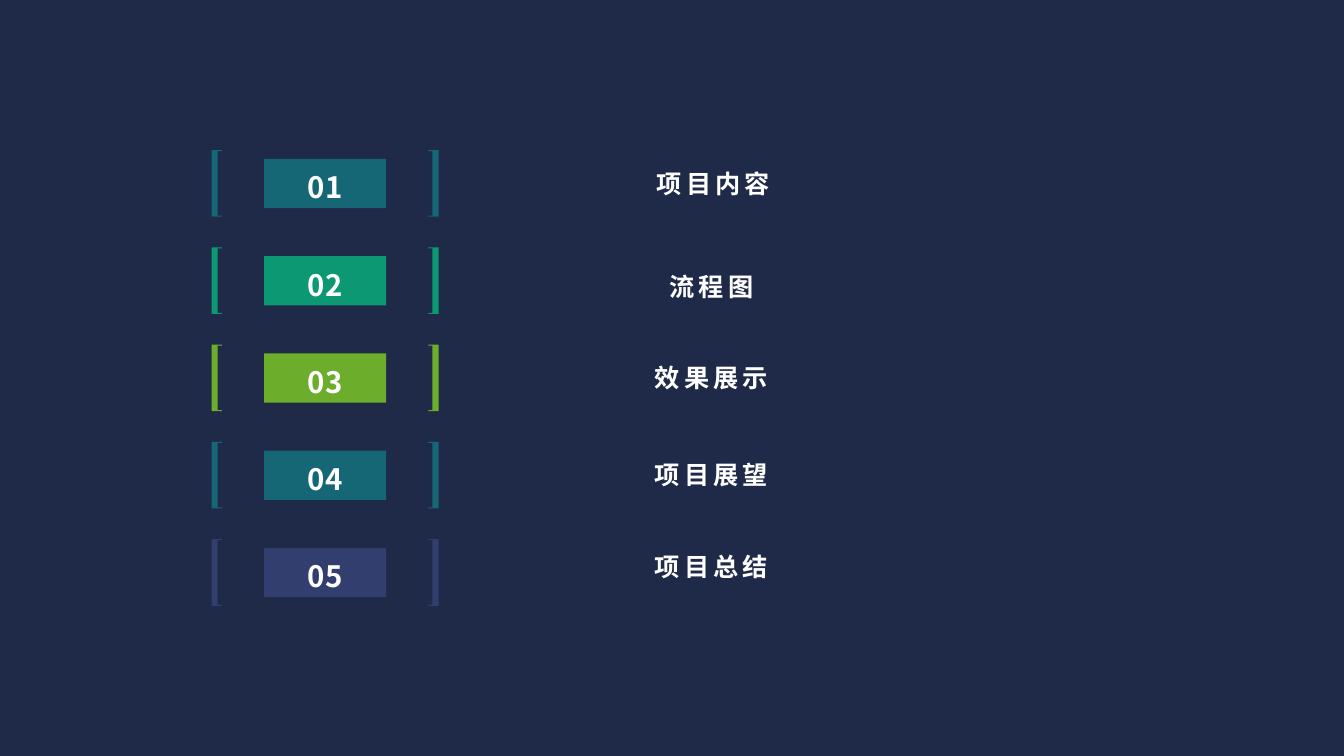
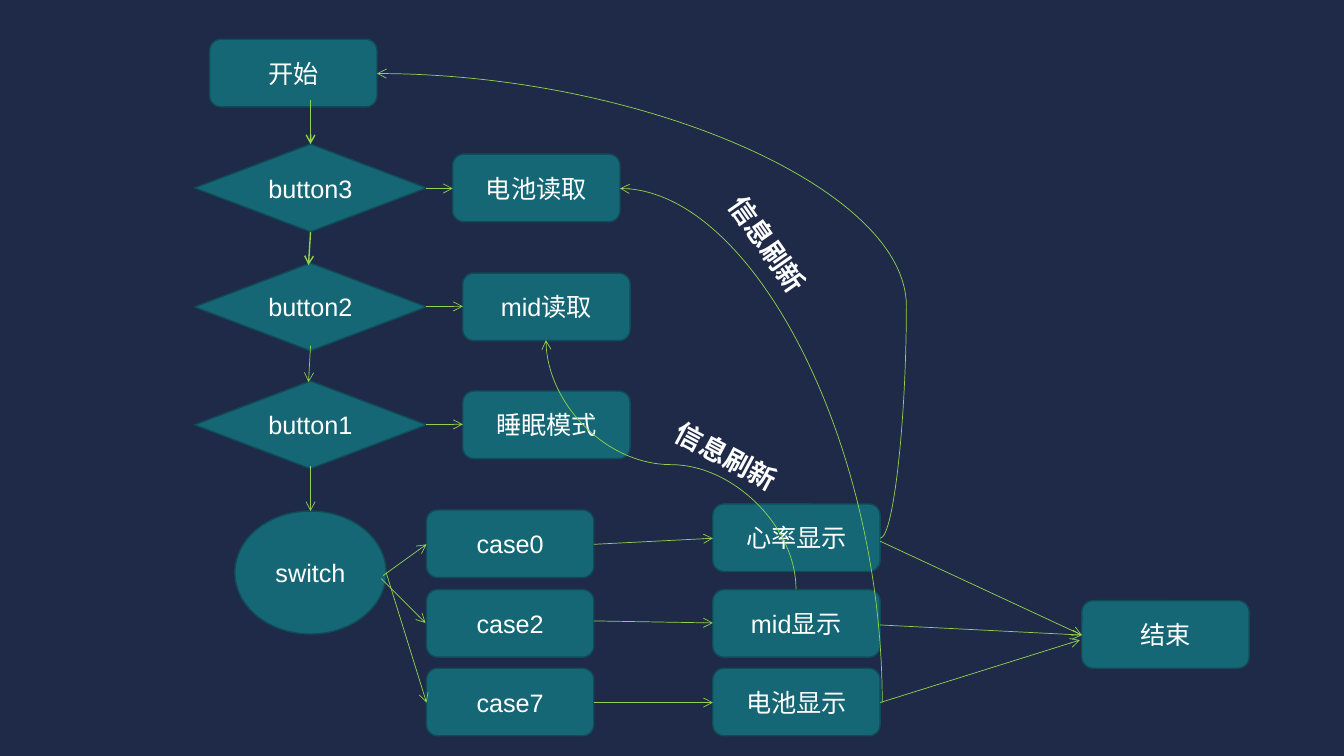
from lxml.etree import SubElement
from pptx import Presentation
from pptx.dml.color import RGBColor
from pptx.enum.shapes import MSO_CONNECTOR, MSO_SHAPE
from pptx.enum.text import MSO_ANCHOR, PP_ALIGN
from pptx.oxml.ns import qn
from pptx.util import Inches, Pt

NAVY = RGBColor(0x1E, 0x2A, 0x47)
TEAL = RGBColor(0x16, 0x67, 0x75)
DARK_TEAL = RGBColor(0x10, 0x4C, 0x57)
GREEN = RGBColor(0x0B, 0x98, 0x72)
LIME = RGBColor(0x6D, 0xAD, 0x2C)
INDIGO = RGBColor(0x32, 0x3E, 0x6E)
ARROW_GREEN = RGBColor(0x91, 0xD2, 0x50)
WHITE = RGBColor(0xFF, 0xFF, 0xFF)
CJK_FONT = "Noto Sans CJK SC"


def write_text(shape, text, size, latin=CJK_FONT, align=PP_ALIGN.CENTER, tracking=0):
    """Put one white paragraph in a shape; text in the CJK font is bold and widely leaded."""
    frame = shape.text_frame
    frame.word_wrap = True
    para = frame.paragraphs[0]
    para.text = text
    para.alignment = align
    font = para.font
    font.size, font.name, font.color.rgb = Pt(size), latin, WHITE
    if latin == CJK_FONT:
        font.bold = True
        para.line_spacing = 1.2
    properties = para._p.pPr.find(qn("a:defRPr"))
    SubElement(properties, qn("a:ea")).set("typeface", CJK_FONT)
    if tracking:
        properties.set("spc", str(tracking * 100))


def add_arrow(page, start, end, width=0.5, kind=MSO_CONNECTOR.STRAIGHT):
    arrow = page.shapes.add_connector(kind, *map(Inches, start + end))
    arrow.line.color.rgb = ARROW_GREEN
    arrow.line.width = Pt(width)
    SubElement(arrow.line._get_or_add_ln(), qn("a:tailEnd")).set("type", "arrow")
    SubElement(arrow._element.spPr, qn("a:effectLst"))
    return arrow


deck = Presentation()
deck.slide_width, deck.slide_height = Inches(13.33), Inches(7.5)
background = deck.slide_master.background.fill
background.solid()
background.fore_color.rgb = NAVY
blank = deck.slide_layouts[6]

# Contents
contents = deck.slides.add_slide(blank)
FIRST_TOP, LAST_TOP = 1.49, 5.35
BRACKET_HEIGHT, BOX_HEIGHT = 0.66, 0.49
entries = [
    ("项目内容", TEAL, 6.27, 1.48),
    ("流程图", GREEN, 6.25, 2.5),
    ("效果展示", LIME, 6.25, 3.4),
    ("项目展望", TEAL, 6.25, 4.37),
    ("项目总结", INDIGO, 6.25, 5.28),
]
row_pitch = (LAST_TOP - FIRST_TOP) / (len(entries) - 1)
for index, (label, color, label_left, label_top) in enumerate(entries):
    top = FIRST_TOP + index * row_pitch
    bottom = top + BRACKET_HEIGHT
    parts = []
    for outer, inward in ((2.1, 1), (4.35, -1)):
        bar, tip = outer + inward * 0.06, outer + inward * 0.1
        corners = [
            (outer, top), (tip, top), (tip, top + 0.01), (bar, top + 0.01),
            (bar, bottom - 0.01), (tip, bottom - 0.01), (tip, bottom), (outer, bottom),
        ]
        points = [(Inches(x), Inches(y)) for x, y in corners]
        outline = contents.shapes.build_freeform(*points[0])
        outline.add_line_segments(points[1:])
        parts.append(outline.convert_to_shape())
    box_top = top + (BRACKET_HEIGHT - BOX_HEIGHT) / 2
    number_box = contents.shapes.add_shape(
        MSO_SHAPE.RECTANGLE, *map(Inches, (2.62, box_top, 1.21, BOX_HEIGHT)))
    write_text(number_box, f"{index + 1:02d}", 21)
    for part in parts + [number_box]:
        part.shadow.inherit = False
        part.fill.solid()
        part.fill.fore_color.rgb = color
        part.line.fill.background()
    label_box = contents.shapes.add_textbox(
        *map(Inches, (label_left, label_top, 1.61, 0.62)))
    write_text(label_box, label, 18, tracking=3)
    label_box.text_frame.vertical_anchor = MSO_ANCHOR.MIDDLE

# Flowchart
flowchart = deck.slides.add_slide(blank)
STEP = (MSO_SHAPE.FLOWCHART_ALTERNATE_PROCESS, 1.66, 0.67)
DECISION = (MSO_SHAPE.FLOWCHART_DECISION, 2.3, 0.87)
SWITCH = (MSO_SHAPE.FLOWCHART_CONNECTOR, 1.5, 1.22)
nodes = [
    ("开始", STEP, 2.08, 0.39),
    ("button3", DECISION, 1.93, 1.43),
    ("button2", DECISION, 1.93, 2.61),
    ("button1", DECISION, 1.93, 3.78),
    ("电池读取", STEP, 4.49, 1.53),
    ("mid读取", STEP, 4.59, 2.71),
    ("睡眠模式", STEP, 4.59, 3.88),
    ("switch", SWITCH, 2.33, 5.07),
    ("case0", STEP, 4.23, 5.06),
    ("case2", STEP, 4.23, 5.85),
    ("case7", STEP, 4.23, 6.63),
    ("心率显示", STEP, 7.07, 5),
    ("mid显示", STEP, 7.07, 5.85),
    ("电池显示", STEP, 7.07, 6.63),
    ("结束", STEP, 10.73, 5.96),
]
for label, (preset, width, height), left, top in nodes:
    node = flowchart.shapes.add_shape(preset, *map(Inches, (left, top, width, height)))
    node.shadow.inherit = False
    node.fill.solid()
    node.fill.fore_color.rgb = TEAL
    node.line.color.rgb = DARK_TEAL
    node.line.width = Pt(1)
    write_text(node, label, 18, latin="Arial")

straight_arrows = [
    ((3.08, 0.99), (3.08, 1.43), 1),
    ((3.08, 2.3), (3.06, 2.63), 1),
    ((3.08, 3.43), (3.06, 3.79), 0.5),
    ((3.08, 4.62), (3.08, 5.07), 0.5),
    ((4.23, 1.87), (4.49, 1.87), 0.5),
    ((4.23, 3.04), (4.59, 3.04), 0.5),
    ((4.23, 4.21), (4.59, 4.21), 0.5),
    ((3.8, 5.71), (4.23, 5.4), 0.5),
    ((3.78, 5.74), (4.22, 6.18), 0.5),
    ((3.83, 5.68), (4.23, 6.97), 0.5),
    ((5.89, 5.4), (7.07, 5.34), 0.5),
    ((5.89, 6.16), (7.07, 6.18), 0.5),
    ((5.89, 6.97), (7.07, 6.97), 0.5),
    ((8.73, 5.37), (10.73, 6.3), 0.5),
    ((8.73, 6.2), (10.73, 6.3), 0.5),
    ((8.73, 6.97), (10.71, 6.35), 0.5),
]
for start, end, width in straight_arrows:
    add_arrow(flowchart, start, end, width)

# Ends are given before the turn; the bend is in 1/100000 of the width
curved_arrows = [
    ((8.73, 5.34), (3.74, 0.73), 0, "curvedConnector3", -5200),
    ((4.9, 5.72), (10, 3.12), 270, "curvedConnector2", None),
    ((5.42, 5.85), (7.89, 3.37), 270, "curvedConnector3", 50000),
]
for start, end, turn, preset, bend in curved_arrows:
    curve = add_arrow(flowchart, start, end, kind=MSO_CONNECTOR.CURVE)
    properties = curve._element.spPr
    properties.find(qn("a:xfrm")).set("rot", str(turn * 60000))
    geometry = properties.find(qn("a:prstGeom"))
    geometry.set("prst", preset)
    if bend is not None:
        guide = SubElement(geometry.find(qn("a:avLst")), qn("a:gd"))
        guide.set("name", "adj1")
        guide.set("fmla", f"val {bend}")

for left, top, turn in ((6.8, 2.54, 55), (6.52, 4.47, 28)):
    refresh_label = flowchart.shapes.add_textbox(*map(Inches, (left, top, 2.22, 0.5)))
    refresh_label.rotation = turn
    write_text(refresh_label, "信息刷新", 19.6, align=PP_ALIGN.LEFT)

deck.save("out.pptx")
